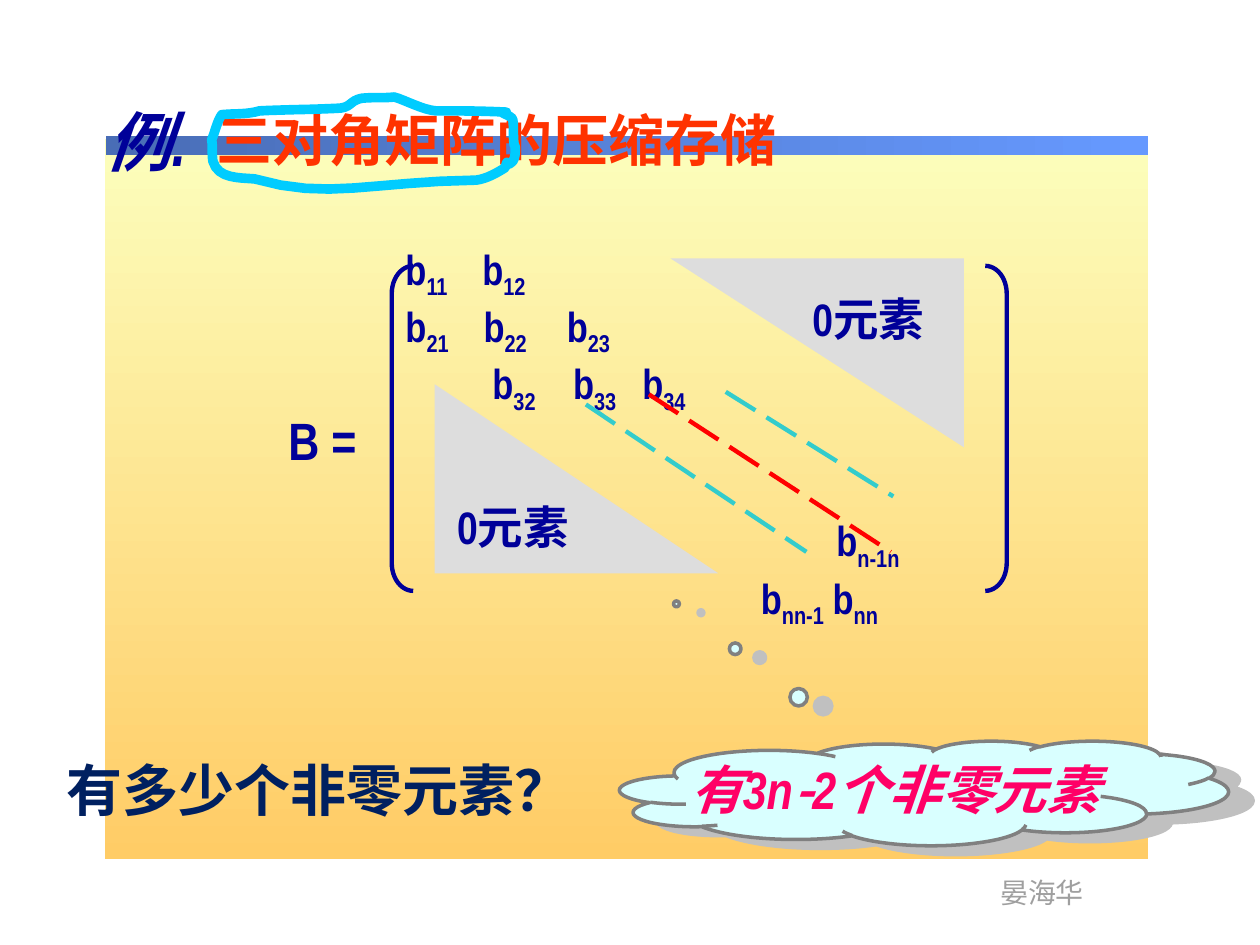
"""Build the slide on compressed storage of a tridiagonal matrix."""
from dataclasses import dataclass

from lxml import etree
from pptx import Presentation, util as u
from pptx.dml.color import RGBColor
from pptx.enum import dml, shapes, text
from pptx.oxml.ns import qn


@dataclass(frozen=True)
class Theme:
    latin: str = "Arial Narrow"
    chinese: str = "Noto Sans CJK SC"
    navy: str = "000099"
    title: str = "FF3300"
    question: str = "002060"
    answer: str = "FF0066"
    author: str = "9F9F9F"
    zero: str = "DDDDDD"
    cloud: str = "D9FFFF"
    outline: str = "808080"
    shadow: str = "C0C0C0"
    marker: str = "00CCFF"
    diagonal: str = "FF0000"
    side_diagonal: str = "33CCCC"
    panel: tuple = ("FCFEBC", "FFCC66")
    bar: tuple = ("496DB6", "6699FF")
    author_size: int = 16
    matrix_size: int = 24
    zero_size: int = 26
    formula_size: int = 30
    title_size: int = 32
    example_size: int = 37


theme = Theme()
rgb = RGBColor.from_string
presentation = Presentation()
presentation.slide_width, presentation.slide_height = u.Inches(10), u.Inches(7.5)
slide = presentation.slides.add_slide(presentation.slide_layouts[6])


def add_run(paragraph, words, size, color, font=theme.latin, bold=True, italic=False):
    run = paragraph.add_run()
    run.text = words
    run.font.size, run.font.bold, run.font.italic = u.Pt(size), bold, italic
    run.font.color.rgb = rgb(color)
    run.font.name = font
    properties = run._r.get_or_add_rPr()
    etree.SubElement(properties, qn("a:ea"), typeface=theme.chinese)
    return properties


def add_box(at, wrap=True):
    frame = slide.shapes.add_textbox(*map(u.Inches, at)).text_frame
    frame.word_wrap = wrap
    return frame


for at, colors, angle in (
    ((0.83, 1.1, 8.28, 5.72), theme.panel, 270),
    ((0.84, 1.08, 8.27, 0.15), theme.bar, 0),
):
    band = slide.shapes.add_shape(shapes.MSO_SHAPE.RECTANGLE, *map(u.Inches, at))
    band.shadow.inherit = False
    band.line.fill.background()
    band.fill.gradient()
    band.fill.gradient_angle = angle
    for stop, color in zip(band.fill.gradient_stops, colors):
        stop.color.rgb = rgb(color)

author = add_box((7.84, 6.9, 0.87, 0.37), wrap=False).paragraphs[0]
add_run(author, "晏海华", theme.author_size, theme.author, bold=False)

cloud = slide.shapes.add_shape(
    shapes.MSO_SHAPE.CLOUD_CALLOUT, *map(u.Inches, (4.92, 5.88, 4.83, 0.83)))
cloud.adjustments[0], cloud.adjustments[1] = -0.407, -1.81
cloud.fill.solid()
cloud.fill.fore_color.rgb = rgb(theme.cloud)
cloud.line.color.rgb = rgb(theme.outline)
cloud.line.width = u.Pt(2)
cloud.shadow.inherit = False
cloud_effects = cloud._element.spPr.find(qn("a:effectLst"))
cloud_shadow = etree.SubElement(
    cloud_effects, qn("a:outerShdw"), dist=str(u.Pt(14.9)), dir=str(20 * 60000),
    algn="ctr", rotWithShape="0")
etree.SubElement(cloud_shadow, qn("a:srgbClr"), val=theme.shadow)

answer = add_box((5.38, 5.96, 4.42, 0.61)).paragraphs[0]
for words, font in (
    ("有", theme.chinese), ("3n", theme.latin), ("-", theme.chinese),
    ("2个", theme.latin), ("非零元素", theme.chinese),
):
    properties = add_run(answer, words, theme.formula_size, theme.answer, font, italic=True)
    effects = etree.Element(qn("a:effectLst"))
    text_shadow = etree.SubElement(
        effects, qn("a:outerShdw"), dist=str(u.Pt(2)), dir=str(45 * 60000))
    etree.SubElement(text_shadow, qn("a:srgbClr"), val="000000")
    properties.find(qn("a:solidFill")).addnext(effects)

title_frame = add_box((1.62, 0.75, 5.92, 0.67))
title_frame.vertical_anchor = text.MSO_ANCHOR.BOTTOM
title = title_frame.paragraphs[0]
title.line_spacing = 0.85
add_run(title, "三对角矩阵的压缩存储", theme.title_size, theme.title)
example = add_box((0.75, 0.76, 0.87, 0.72), wrap=False).paragraphs[0]
add_run(example, "例.", theme.example_size, theme.navy, italic=True)

loop_start = (4.02, 0.89)
loop_curves = (
    ((3.84, 0.88), (3.65, 0.88), (3.46, 0.88)), ((3.35, 0.87), (3.23, 0.8), (3.13, 0.77)),
    ((3.04, 0.78), (2.96, 0.77), (2.87, 0.78)), ((2.77, 0.8), (2.79, 0.86), (2.67, 0.86)),
    ((2.47, 0.87), (2.26, 0.87), (2.06, 0.88)), ((1.96, 0.91), (1.86, 0.9), (1.76, 0.91)),
    ((1.72, 0.97), (1.71, 1.04), (1.68, 1.11)), ((1.69, 1.16), (1.68, 1.22), (1.69, 1.28)),
    ((1.73, 1.42), (1.9, 1.41), (2.02, 1.42)), ((2.6, 1.59), (2.95, 1.44), (3.78, 1.43)),
    ((3.86, 1.42), (3.95, 1.37), (4.01, 1.33)), ((4.04, 1.23), (4, 1.35), (4.07, 1.28)),
    ((4.09, 1.25), (4.09, 1.21), (4.09, 1.17)), ((4.09, 1.16), (4.08, 1.15), (4.08, 1.14)),
    ((4.07, 1.07), (4.08, 1.01), (4.07, 0.95)), ((4.06, 0.91), (3.93, 0.89), (4.02, 0.89)),
)
steps = 8
loop_points = []
start = loop_start
for first, second, end in loop_curves:
    for step in range(1, steps + 1):
        t = step / steps
        weights = ((1 - t) ** 3, 3 * t * (1 - t) ** 2, 3 * t ** 2 * (1 - t), t ** 3)
        corners = (start, first, second, end)
        loop_points.append(tuple(
            u.Inches(sum(w * corner[axis] for w, corner in zip(weights, corners)))
            for axis in (0, 1)))
    start = end
builder = slide.shapes.build_freeform(*map(u.Inches, loop_start))
builder.add_line_segments(loop_points, close=True)
loop = builder.convert_to_shape()
loop.shadow.inherit = False
loop.fill.background()
loop.line.color.rgb = rgb(theme.marker)
loop.line.width = u.Pt(5.5)

matrix = add_box((1.07, 1.88, 7, 2.93))
matrix_rows = (
    (0, ((2.05, "11"), (2.66, "12"))),
    (0, ((2.05, "21"), (2.67, "22"), (3.33, "23"))),
    (0, ((2.74, "32"), (3.38, "33"), (3.93, "34"))),
    (57, ((5.47, "n-1n"),)),
    (0, ((4.87, "nn-1"), (5.44, "nn"))),
)
for index, (gap, entries) in enumerate(matrix_rows):
    row = matrix.add_paragraph() if index else matrix.paragraphs[0]
    tabs = etree.SubElement(row._p.get_or_add_pPr(), qn("a:tabLst"))
    for position, subscript in entries:
        etree.SubElement(tabs, qn("a:tab"), pos=str(u.Inches(position)), algn="l")
        add_run(row, "\tb", theme.matrix_size, theme.navy)
        add_run(row, subscript, theme.matrix_size, theme.navy).set("baseline", "-25000")
    if gap:
        row.space_before = u.Pt(gap)

for ends, color in (
    ((5.15, 3.13, 7.07, 4.38), theme.diagonal),
    ((4.65, 3.21, 6.4, 4.38), theme.side_diagonal),
    ((5.76, 3.11, 7.09, 3.94), theme.side_diagonal),
):
    dashes = slide.shapes.add_connector(
        shapes.MSO_CONNECTOR.STRAIGHT, *map(u.Inches, ends))
    dashes.line.color.rgb = rgb(color)
    dashes.line.width = u.Pt(2.5)
    dashes.line.dash_style = dml.MSO_LINE.LONG_DASH
    etree.SubElement(dashes._element.spPr, qn("a:effectLst"))

for left, flipped in ((7.82, "0"), (3.11, "1")):
    bracket = slide.shapes.add_shape(
        shapes.MSO_SHAPE.RIGHT_BRACKET, *map(u.Inches, (left, 2.11, 0.17, 2.58)))
    bracket.adjustments[0] = 1.292
    bracket.shadow.inherit = False
    bracket.fill.background()
    bracket.line.color.rgb = rgb(theme.navy)
    bracket.line.width = u.Pt(2.5)
    bracket._element.spPr.find(qn("a:xfrm")).set("flipH", flipped)

for at, rotation, label_at in (
    ((3.45, 3.05, 2.25, 1.5), 0, (3.53, 3.91, 1.39, 0.54)),
    ((5.32, 2.05, 2.33, 1.5), 180, (6.35, 2.26, 1.33, 0.54)),
):
    triangle = slide.shapes.add_shape(
        shapes.MSO_SHAPE.RIGHT_TRIANGLE, *map(u.Inches, at))
    triangle.rotation = rotation
    triangle.shadow.inherit = False
    triangle.fill.solid()
    triangle.fill.fore_color.rgb = rgb(theme.zero)
    triangle.line.fill.background()
    label = add_box(label_at).paragraphs[0]
    add_run(label, "0", theme.zero_size, theme.navy)
    add_run(label, "元素", theme.zero_size, theme.navy, theme.chinese)

name = add_box((2.19, 3.19, 0.75, 0.61), wrap=False).paragraphs[0]
add_run(name, "B =", theme.formula_size, theme.navy)
question = add_box((0.43, 5.95, 4.34, 0.64), wrap=False).paragraphs[0]
add_run(question, "有多少个非零元素？", theme.title_size, theme.question)

presentation.save("out.pptx")
